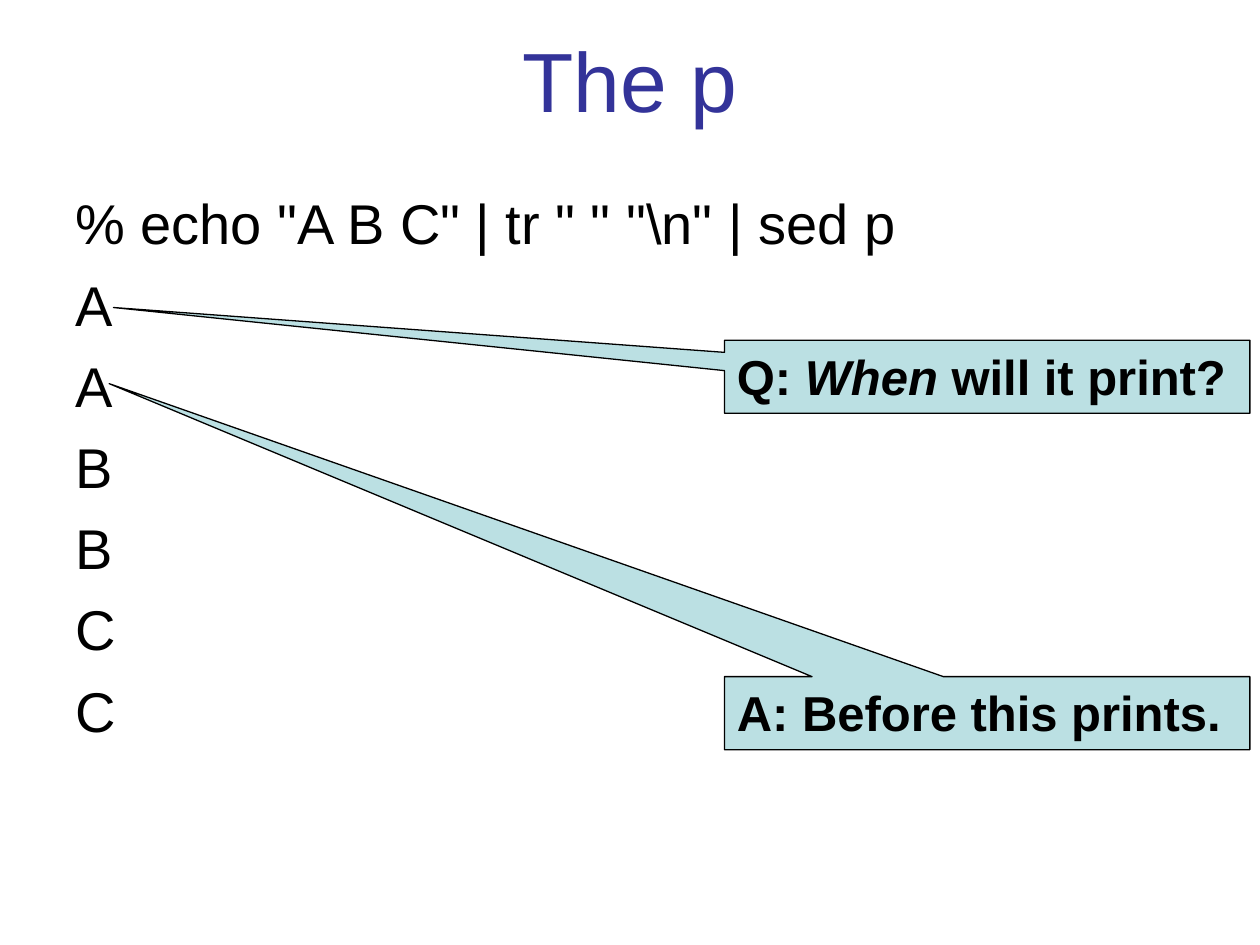
"""Build a slide showing what the sed p command prints, with two callouts."""
from pptx import Presentation
from pptx.dml.color import RGBColor
from pptx.enum.shapes import MSO_SHAPE as Shape
from pptx.enum.text import MSO_ANCHOR as Anchor, PP_ALIGN as Align
from pptx.util import Inches, Pt

COLORS = {"title": "333399", "text": "000000", "callout": "BBE0E3", "line": "000000"}
FONT = "Arial"
TITLE = "The p"
SESSION = ['% echo "A B C" | tr " " "\\n" | sed p', "A", "A", "B", "B", "C", "C"]
CALLOUTS = [
    {"top": 2.7, "tip": (-1.663, -0.948),
     "runs": [("Q: ", False), ("When", True), (" will it print?", False)]},
    {"top": 5.37, "tip": (-1.671, -4.51),
     "runs": [("A: Before this prints.", False)]},
]


def color(name):
    return RGBColor.from_string(COLORS[name])


def add_run(paragraph, text, size, color_name="text", bold=False, italic=False):
    run = paragraph.add_run()
    run.text = text
    font = run.font
    font.name, font.size = FONT, Pt(size)
    font.bold, font.italic = bold, italic
    font.color.rgb = color(color_name)


def add_text_frame(slide, left, top, width, height):
    box = slide.shapes.add_textbox(Inches(left), Inches(top), Inches(width), Inches(height))
    box.text_frame.word_wrap = True
    return box.text_frame


def add_title(slide):
    frame = add_text_frame(slide, 0.5, 0, 9, 1.25)
    frame.vertical_anchor = Anchor.MIDDLE
    paragraph = frame.paragraphs[0]
    paragraph.alignment = Align.CENTER
    add_run(paragraph, TITLE, 48, "title")


def add_session(slide):
    frame = add_text_frame(slide, 0.5, 1.45, 9, 4.95)
    for index, line in enumerate(SESSION):
        paragraph = frame.add_paragraph() if index else frame.paragraphs[0]
        if index:
            paragraph.space_before = Pt(8)
        add_run(paragraph, line, 32)


def add_callout(slide, top, tip, runs):
    shape = slide.shapes.add_shape(
        Shape.RECTANGULAR_CALLOUT, Inches(5.75), Inches(top), Inches(4.17), Inches(0.58))
    shape.adjustments[0], shape.adjustments[1] = tip
    shape.shadow.inherit = False
    shape.fill.solid()
    shape.fill.fore_color.rgb = color("callout")
    shape.line.color.rgb = color("line")
    shape.line.width = Pt(0.75)
    frame = shape.text_frame
    frame.word_wrap = True
    frame.vertical_anchor = Anchor.TOP
    paragraph = frame.paragraphs[0]
    paragraph.alignment = Align.LEFT
    for text, italic in runs:
        add_run(paragraph, text, 28, bold=True, italic=italic)


def main():
    presentation = Presentation()
    presentation.slide_width, presentation.slide_height = Inches(10), Inches(7.5)
    slide = presentation.slides.add_slide(presentation.slide_layouts[6])
    add_title(slide)
    add_session(slide)
    for callout in CALLOUTS:
        add_callout(slide, **callout)
    presentation.save("out.pptx")


if __name__ == "__main__":
    main()
